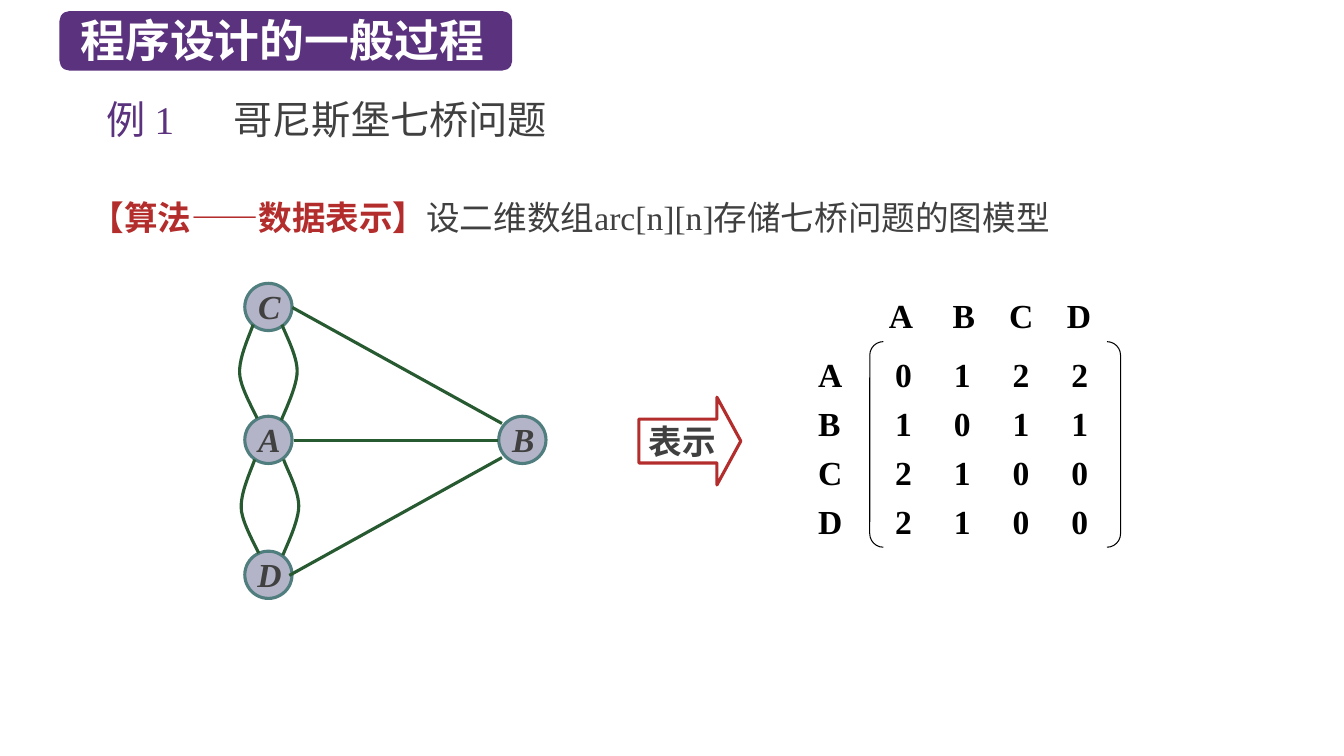
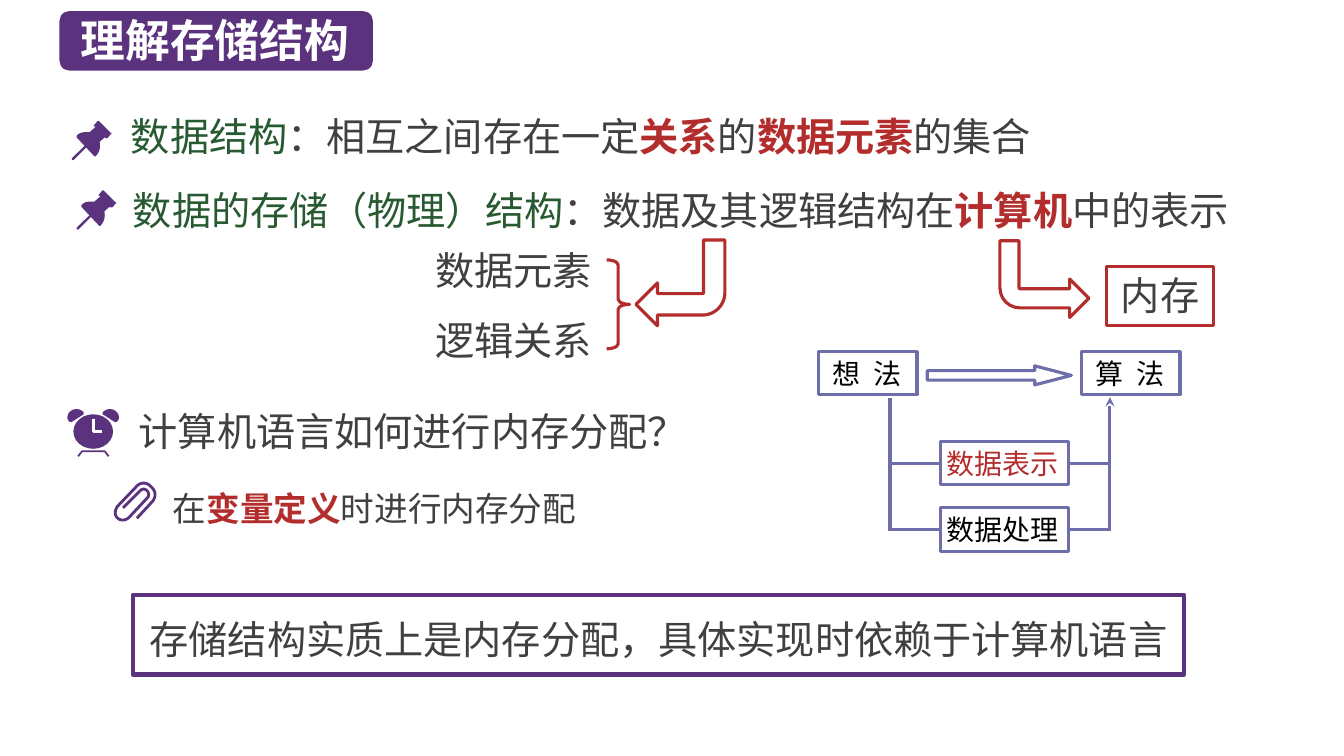
from dataclasses import dataclass

from lxml import etree
from pptx import Presentation
from pptx.dml.color import RGBColor
from pptx.enum.shapes import MSO_CONNECTOR, MSO_SHAPE
from pptx.enum.text import MSO_ANCHOR, MSO_AUTO_SIZE, PP_ALIGN
from pptx.oxml.ns import qn
from pptx.util import Cm, Pt

LEFT, CENTER = PP_ALIGN.LEFT, PP_ALIGN.CENTER
TOP, MIDDLE = MSO_ANCHOR.TOP, MSO_ANCHOR.MIDDLE
STRAIGHT = MSO_CONNECTOR.STRAIGHT
RECT, ELLIPSE = MSO_SHAPE.RECTANGLE, MSO_SHAPE.OVAL
ROUNDED, ARROW = MSO_SHAPE.ROUNDED_RECTANGLE, MSO_SHAPE.RIGHT_ARROW
BENT, BRACE = MSO_SHAPE.BENT_ARROW, MSO_SHAPE.LEFT_BRACE
BRACKETS = MSO_SHAPE.DOUBLE_BRACKET
TITLE_ONLY = 5
LEFT_SIDE, RIGHT_SIDE = 1, 3


@dataclass(frozen=True)
class Theme:
    purple: RGBColor = RGBColor(0x5A, 0x32, 0x7D)
    red: RGBColor = RGBColor(0xB4, 0x2D, 0x2D)
    green: RGBColor = RGBColor(0x28, 0x5A, 0x32)
    ink: RGBColor = RGBColor(0x40, 0x40, 0x40)
    black: RGBColor = RGBColor(0, 0, 0)
    white: RGBColor = RGBColor(0xFF, 0xFF, 0xFF)
    flow: RGBColor = RGBColor(0x6E, 0x6E, 0xAA)
    node: RGBColor = RGBColor(0xB4, 0xB4, 0xC8)
    node_rim: RGBColor = RGBColor(0x50, 0x7D, 0x7D)
    sans: str = "Noto Sans CJK SC"
    serif: str = "Times New Roman"
    title: int = 32
    body: int = 28
    detail: int = 24
    label: int = 20
    stroke: float = 2.25


T = Theme()


def assign(target, values):
    for name, value in values.items():
        setattr(target, name, value)


def trace(start, *steps):
    """Points of a path: a step is one point (line) or three (curve)."""
    points = [start]
    for step in steps:
        if len(step) == 2:
            points.append(step)
            continue
        ends = (points[-1], *step)
        for i in range(1, 13):
            t = i / 12
            weights = ((1 - t) ** 3, 3 * t * (1 - t) ** 2, 3 * t * t * (1 - t), t ** 3)
            points.append(tuple(sum(w * p[axis] for w, p in zip(weights, ends))
                                for axis in (0, 1)))
    return points


def shift(points, dx, dy):
    return [(x + dx, y + dy) for x, y in points]


class Deck:
    def __init__(self):
        self.prs = Presentation()
        assign(self.prs, {"slide_width": Cm(33.87), "slide_height": Cm(19.05)})
        self.slide = None

    def start(self, heading):
        """New slide with its title on a rounded band as long as the words."""
        self.slide = self.prs.slides.add_slide(self.prs.slide_layouts[TITLE_ONLY])
        width = 1.17 * len(heading) + 0.88
        band = self.shape(ROUNDED, (1.5, 0.28, width, 1.5), fill=T.purple)
        title = self.slide.shapes.title
        title._element.addprevious(band._element)
        assign(title, dict(zip(("left", "top", "width", "height"),
                               map(Cm, (1.78, 0.18, width, 1.63)))))
        self.set_text(title.text_frame, [[(heading, T.white, True)]], size=T.title)

    def set_text(self, frame, paragraphs, size=T.body, font=T.sans, align=LEFT,
                 anchor=TOP, insets=(0.25, 0.13, 0.25, 0.13), leading=None, tabs=(),
                 italic=False, tracking=0):
        """Fill a frame; a paragraph is a list of (text, colour, bold) runs."""
        assign(frame, {"word_wrap": True, "auto_size": MSO_AUTO_SIZE.NONE,
                       "vertical_anchor": anchor})
        assign(frame, dict(zip(("margin_left", "margin_top", "margin_right",
                                "margin_bottom"), map(Cm, insets))))
        for i, runs in enumerate(paragraphs):
            paragraph = frame.add_paragraph() if i else frame.paragraphs[0]
            if tabs:
                stops = etree.SubElement(paragraph._p.get_or_add_pPr(), qn("a:tabLst"))
                for stop in tabs:
                    etree.SubElement(stops, qn("a:tab"), pos=str(Cm(stop)), algn="l")
            assign(paragraph, {"alignment": align, "line_spacing": leading})
            for text, color, bold in runs:
                run = paragraph.add_run()
                run.text = text
                assign(run.font, {"size": Pt(size), "bold": bold, "italic": italic,
                                  "name": font})
                run.font.color.rgb = color
                props = run._r.get_or_add_rPr()
                etree.SubElement(props, qn("a:ea"), typeface=T.sans)
                if tracking:
                    props.set("spc", str(tracking))

    def text(self, box, paragraphs, **style):
        area = self.slide.shapes.add_textbox(*map(Cm, box))
        self.set_text(area.text_frame, paragraphs, **style)

    def paint(self, shape, fill, line, width):
        shape.shadow.inherit = False
        for part, color in ((shape.fill, fill), (shape.line.fill, line)):
            if color is None:
                part.background()
            else:
                part.solid()
                part.fore_color.rgb = color
        if line is not None:
            shape.line.width = Pt(width)

    def shape(self, kind, box, fill=None, line=None, width=T.stroke, adjust=(),
              flips=(), paragraphs=(), **style):
        shape = self.slide.shapes.add_shape(kind, *map(Cm, box))
        for i, value in enumerate(adjust):
            shape.adjustments[i] = value
        for flip in flips:
            shape._element.spPr.find(qn("a:xfrm")).set(flip, "1")
        self.paint(shape, fill, line, width)
        if paragraphs:
            self.set_text(shape.text_frame, paragraphs, **style)
        return shape

    def outline(self, points, fill=None, line=None, width=T.stroke):
        first, *rest = [(Cm(x), Cm(y)) for x, y in points]
        builder = self.slide.shapes.build_freeform(*first)
        builder.add_line_segments(rest, close=fill is not None)
        self.paint(builder.convert_to_shape(), fill, line, width)

    def link(self, start, end, color, arrow=False):
        link = self.slide.shapes.add_connector(STRAIGHT, *map(Cm, (*start, *end)))
        link.line.color.rgb = color
        link.line.width = Pt(T.stroke)
        props = link._element.spPr
        if arrow:
            etree.SubElement(props.find(qn("a:ln")), qn("a:tailEnd"), type="stealth")
        etree.SubElement(props, qn("a:effectLst"))
        return link

    def pin(self, x, y):
        head = trace((0.99, 0.3), (0.69, 0), (0.66, 0), (0.56, 0.12), (0.61, 0.15),
                     (0.46, 0.28), (0.38, 0.28),
                     ((0.28, 0.28), (0.18, 0.3), (0.13, 0.38)),
                     (0.13, 0.41), (0.58, 0.89), (0.61, 0.89),
                     ((0.71, 0.79), (0.74, 0.66), (0.71, 0.53)),
                     (0.84, 0.41), (0.86, 0.43), (0.91, 0.43), (1.02, 0.3))
        needle = [(0.05, 0.99), (0.01, 0.97), (0.01, 0.94), (0.36, 0.6), (0.39, 0.6),
                  (0.4, 0.64), (0.38, 0.66)]
        for part in (head, needle):
            self.outline(shift(part, x, y), fill=T.purple)

    def clock(self):
        bell = trace((1.93, 10.31), ((1.8, 10.31), (1.7, 10.41), (1.7, 10.52)),
                     ((1.7, 10.56), (1.72, 10.61), (1.76, 10.63)), (1.8, 10.64),
                     (2.11, 10.44), (2.11, 10.39),
                     ((2.06, 10.34), (2, 10.31), (1.93, 10.31)))
        for points in (bell, [(4.7 - x, y) for x, y in bell]):
            self.outline(points, fill=T.purple)
        self.shape(ELLIPSE, (1.85, 10.44, 1, 0.87), fill=T.purple)
        self.outline([(2.35, 10.55), (2.35, 10.87), (2.58, 10.87)], line=T.white)
        self.outline([(1.97, 11.5), (2.07, 11.37), (2.64, 11.37), (2.74, 11.5)],
                     line=T.purple, width=1.25)

    def clip(self):
        self.outline(trace((3.45, 13.06), (3.81, 12.67),
                           ((3.94, 12.55), (3.94, 12.37), (3.81, 12.27)),
                           ((3.71, 12.14), (3.53, 12.14), (3.43, 12.27)),
                           (2.97, 12.75),
                           ((2.9, 12.83), (2.87, 12.98), (2.97, 13.06)),
                           ((3.05, 13.13), (3.18, 13.11), (3.25, 13.04)),
                           (3.71, 12.55),
                           ((3.76, 12.5), (3.76, 12.42), (3.71, 12.37)),
                           ((3.66, 12.31), (3.58, 12.31), (3.53, 12.37)),
                           (3.1, 12.8)), line=T.purple, width=2)


def seven_bridges(deck):
    deck.start("程序设计的一般过程")
    deck.text((2.44, 2.41, 11.89, 1.63),
              [[("例 1\t", T.purple, False), ("哥尼斯堡七桥问题", T.ink, False)]],
              font=T.serif, leading=0.9, tabs=(3.2,))
    deck.text((2.03, 4.6, 29.72, 1.5),
              [[("【算法——数据表示】", T.red, True),
                ("设二维数组arc[n][n]存储七桥问题的图模型", T.ink, False)]],
              size=T.detail, font=T.serif, anchor=MIDDLE, leading=Pt(35))

    # Graph: nodes, straight bridges, paired curved bridges
    for name, x, y in (("C", 6.17, 7.14), ("A", 6.17, 10.49), ("D", 6.17, 13.89),
                       ("B", 12.57, 10.49)):
        deck.shape(ELLIPSE, (x, y, 1.19, 1.19), fill=T.node, line=T.node_rim,
                   paragraphs=[[(name, T.ink, True)]], size=T.detail, font=T.serif,
                   align=CENTER, insets=(0.05, 0, 0, 0), leading=Pt(26), italic=True)
    for start, end in (((7.37, 7.75), (12.65, 10.67)), ((7.42, 11.1), (12.55, 11.1)),
                       ((7.29, 14.5), (12.65, 11.53))):
        deck.link(start, end, T.green)
    left_bridge = trace((6.38, 8.18), ((6.32, 8.38), (6.02, 8.99), (6.04, 9.4)),
                        ((6.05, 9.75), (6.38, 10.31), (6.48, 10.54)))
    right_bridge = trace((7.11, 8.18), ((7.16, 8.36), (7.49, 8.94), (7.49, 9.35)),
                         ((7.49, 9.73), (7.19, 10.34), (7.09, 10.59)))
    for dx, dy in ((0, 0), (0.04, 3.4)):
        for bridge in (left_bridge, right_bridge):
            deck.outline(shift(bridge, dx, dy), line=T.green)

    # Adjacency matrix
    deck.shape(ARROW, (16.1, 10.01, 2.57, 2.21), line=T.red, adjust=(0.5, 0.272),
               paragraphs=[[("表示", T.ink, True)]], size=T.detail, font=T.serif,
               anchor=MIDDLE, insets=(0.25, 0, 0, 0))
    deck.shape(BRACKETS, (21.92, 8.61, 6.32, 5.18), line=T.black, width=0.75,
               adjust=(0.066,))
    for box, rows, tabs, leading in (
            ((22.4, 7.44, 6.22, 1.24), ["A\tB\tC\tD"], (1.61, 3.03, 4.49), None),
            ((20.62, 8.7, 1.09, 5), "ABCD", (), Pt(35)),
            ((22.56, 8.7, 5.23, 4.88),
             ["0\t1\t2\t2", "1\t0\t1\t1", "2\t1\t0\t0", "2\t1\t0\t0"],
             [1.48 * column for column in (1, 2, 3)], Pt(35))):
        deck.text(box, [[(row, T.black, True)] for row in rows], size=T.detail,
                  font=T.serif, insets=(0, 0, 0, 0), leading=leading, tabs=tabs)


def storage_structure(deck):
    deck.start("理解存储结构")

    # Definitions
    deck.pin(1.8, 3.05)
    deck.text((3.05, 2.69, 23.75, 1.52),
              [[("数据结构", T.green, False), ("：相互之间存在一定", T.ink, False),
                ("关系", T.red, True), ("的", T.ink, False),
                ("数据元素", T.red, True), ("的集合", T.ink, False)]])
    deck.pin(1.92, 4.8)
    deck.text((3.1, 4.57, 29.03, 1.6),
              [[("数据的存储（物理）结构", T.green, False),
                ("：数据及其逻辑结构在", T.ink, False),
                ("计算机", T.red, True), ("中的表示", T.ink, False)]])

    # What is stored, and where
    for part, y in (("数据元素", 6.07), ("逻辑关系", 7.85)):
        deck.text((10.54, y, 4.8, 1.5), [[(part, T.ink, False)]], align=CENTER)
    deck.shape(BRACE, (15.29, 6.55, 0.58, 2.24), line=T.red, adjust=(0.216, 0.5),
               flips=("flipH",))
    for box, flips in (((16.03, 6.05, 2.24, 2.16), ("flipH", "flipV")),
                       ((25.2, 6.07, 2.24, 1.93), ("flipV",))):
        deck.shape(BENT, box, line=T.red, adjust=(0.25, 0.25, 0.25, 0.261), flips=flips)
    deck.shape(RECT, (27.89, 6.71, 2.69, 1.5), line=T.red,
               paragraphs=[[("内存", T.ink, False)]], align=CENTER)

    # Question and answer
    deck.clock()
    deck.text((3.25, 10.13, 17.48, 1.45), [[("计算机语言如何进行内存分配？", T.ink, False)]])
    deck.clip()
    deck.text((4.11, 11.96, 17.98, 1.93),
              [[("在", T.ink, False), ("变量定义", T.red, True),
                ("时进行内存分配", T.ink, False)]], size=T.detail, leading=1.2)

    # Flow from idea to algorithm
    for step, x in (("想 法", 20.62), ("算 法", 27.25)):
        deck.shape(RECT, (x, 8.86, 2.49, 1.09), line=T.flow,
                   paragraphs=[[(step, T.black, False)]], size=T.label, font=T.serif,
                   anchor=MIDDLE, insets=(0.35, 0.03, 0, 0.03), tracking=250)
    deck.shape(ARROW, (23.37, 9.22, 3.63, 0.48), line=T.flow, adjust=(0.5, 1.921))
    idea_x, algorithm_x, height = 22.43, 27.97, 1.09
    for task, color, y in (("数据表示", T.red, 11.13), ("数据处理", T.black, 12.8)):
        box = deck.shape(RECT, (23.7, y, 3.23, height), line=T.flow,
                         paragraphs=[[(task, color, False)]], size=T.label,
                         anchor=MIDDLE, insets=(0.15, 0.03, 0.15, 0.03))
        middle = y + height / 2
        deck.link((idea_x, middle), (23.7, middle), T.flow).end_connect(box, LEFT_SIDE)
        deck.link((26.93, middle), (algorithm_x, middle),
                  T.flow).begin_connect(box, RIGHT_SIDE)
    deck.link((idea_x, 10.03), (idea_x, middle + 0.04), T.flow)
    deck.link((algorithm_x, middle + 0.04), (algorithm_x, 10.01), T.flow, arrow=True)

    # Conclusion
    deck.shape(RECT, (3.35, 14.99, 26.49, 2.01), line=T.purple, width=3,
               paragraphs=[[("存储结构实质上是内存分配，具体实现时依赖于计算机语言",
                             T.ink, False)]],
               align=CENTER, anchor=MIDDLE, leading=Pt(40))


def main():
    deck = Deck()
    seven_bridges(deck)
    storage_structure(deck)
    deck.prs.save("out.pptx")


if __name__ == "__main__":
    main()
